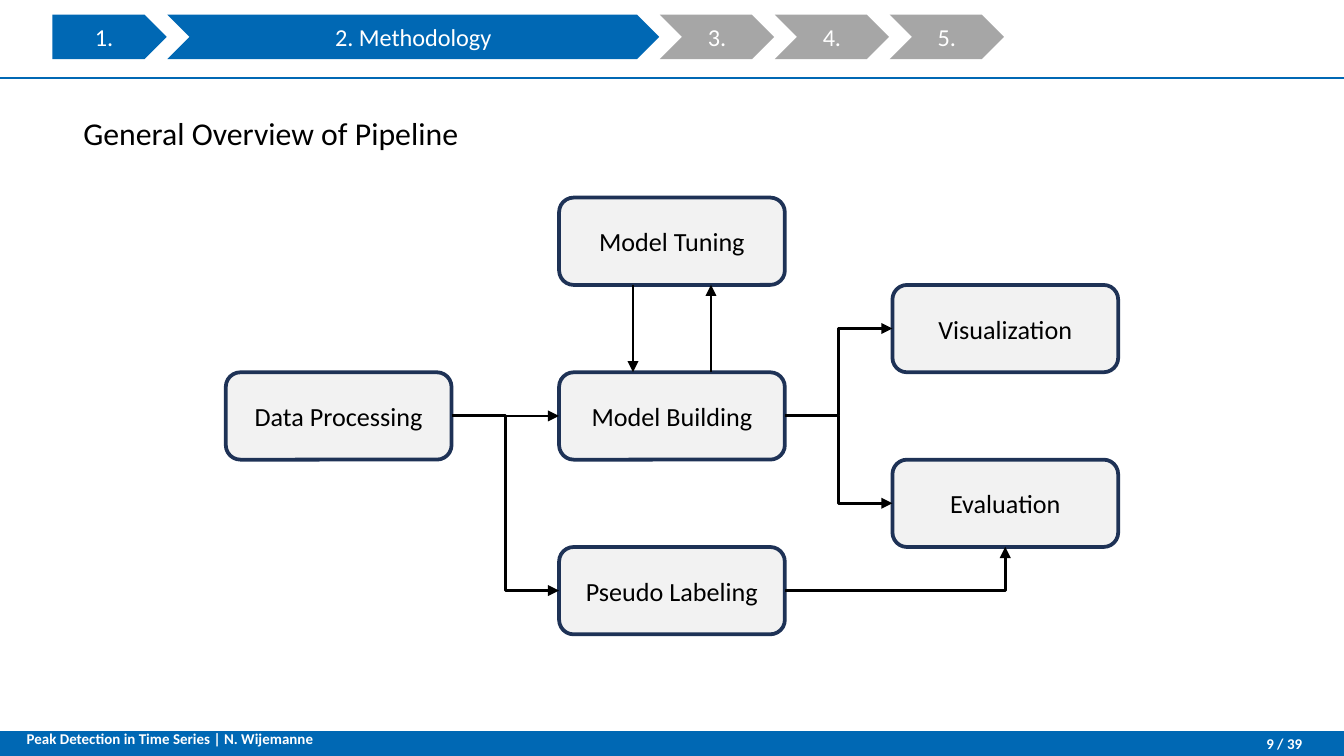
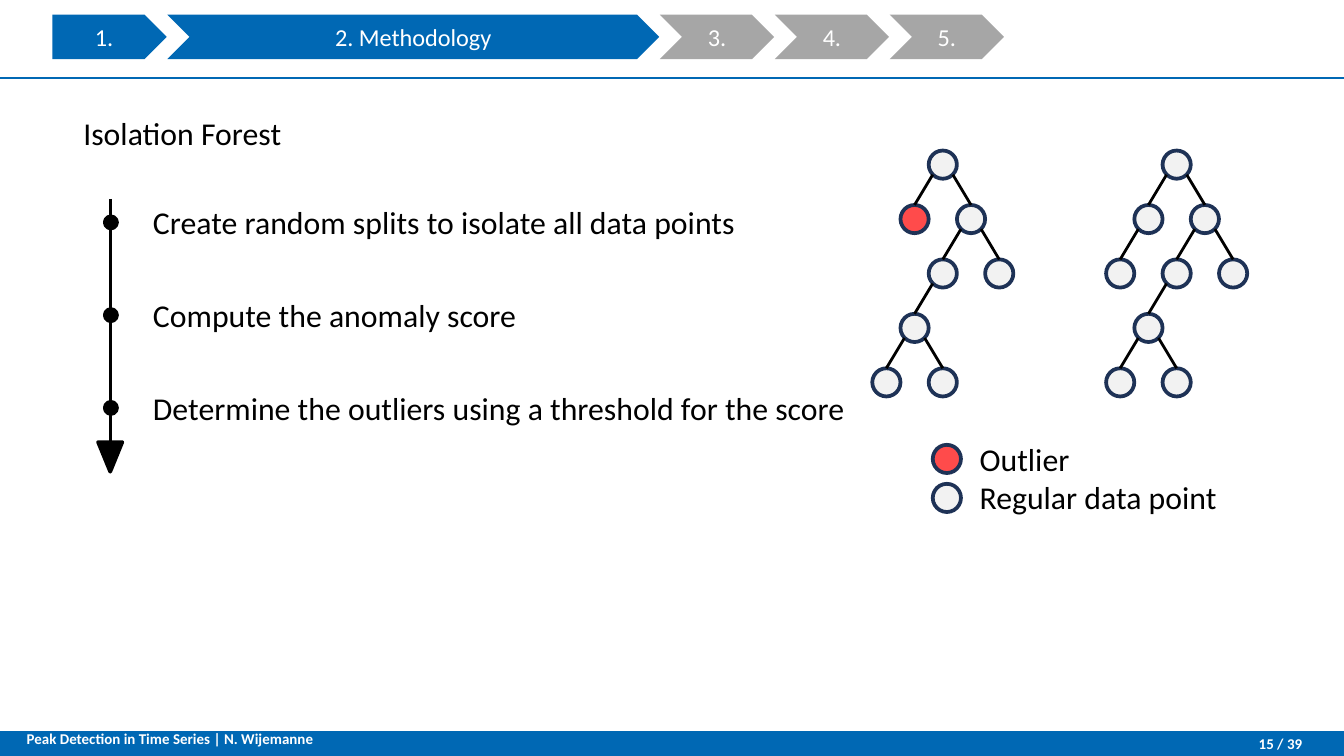
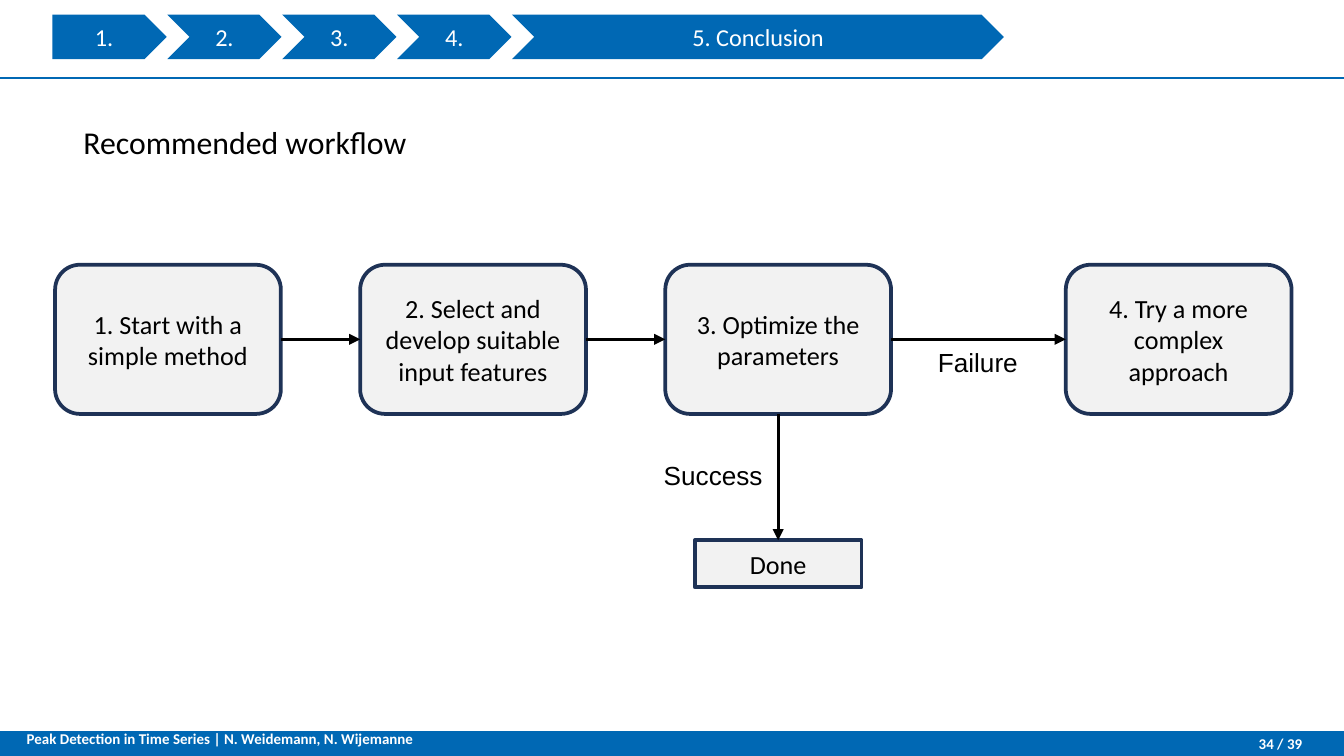
from lxml import etree
from pptx import Presentation
from pptx.dml.color import RGBColor
from pptx.enum.shapes import MSO_CONNECTOR, MSO_SHAPE
from pptx.enum.text import MSO_ANCHOR, MSO_AUTO_SIZE, PP_ALIGN
from pptx.oxml.ns import qn
from pptx.util import Inches, Pt

RECT, ROUND, OVAL = MSO_SHAPE.RECTANGLE, MSO_SHAPE.ROUNDED_RECTANGLE, MSO_SHAPE.OVAL
PENTAGON, CHEVRON, TRIANGLE = MSO_SHAPE.PENTAGON, MSO_SHAPE.CHEVRON, MSO_SHAPE.ISOSCELES_TRIANGLE
STRAIGHT, ELBOW = MSO_CONNECTOR.STRAIGHT, MSO_CONNECTOR.ELBOW
LEFT, CENTER, RIGHT = PP_ALIGN.LEFT, PP_ALIGN.CENTER, PP_ALIGN.RIGHT
TOP, MIDDLE = MSO_ANCHOR.TOP, MSO_ANCHOR.MIDDLE
SITE_TOP, SITE_LEFT, SITE_BOTTOM, SITE_RIGHT = range(4)

BLUE, GREY, NAVY, PALE = "0068B4", "A6A6A6", "1E3256", "F2F2F2"
RED, BLACK, WHITE = "FF4B4B", "000000", "FFFFFF"
FONT = "Calibri"


def add_box(s, kind, x, y, w, h, text="", size=14, color=BLACK, fill=None, line=None,
            align=CENTER, anchor=MIDDLE, bold=False, font=FONT):
    frame = Inches(x), Inches(y), Inches(w), Inches(h)
    if kind is None:
        sp = s.shapes.add_textbox(*frame)
    else:
        sp = s.shapes.add_shape(kind, *frame)
        sp.shadow.inherit = False
        sp.fill.solid()
        sp.fill.fore_color.rgb = RGBColor.from_string(fill)
        if line:
            sp.line.color.rgb = RGBColor.from_string(line)
            sp.line.width = Pt(2)
        else:
            sp.line.fill.background()
    if text:
        tf = sp.text_frame
        tf.word_wrap = True
        tf.vertical_anchor = anchor
        tf.text = text
        for p in tf.paragraphs:
            p.alignment = align
            p.font.name = font
            p.font.size = Pt(size)
            p.font.bold = bold
            p.font.color.rgb = RGBColor.from_string(color)
    return sp


def add_line(s, x1=0, y1=0, x2=0, y2=0, kind=STRAIGHT, color=BLACK, arrow=False):
    c = s.shapes.add_connector(kind, Inches(x1), Inches(y1), Inches(x2), Inches(y2))
    c.line.color.rgb = RGBColor.from_string(color)
    c.line.width = Pt(1.5)
    if arrow:
        etree.SubElement(c.line._get_or_add_ln(), qn("a:tailEnd"), type="triangle")
    etree.SubElement(c._element.spPr, qn("a:effectLst"))
    return c


prs = Presentation()
prs.slide_width, prs.slide_height = Inches(10), Inches(10 * 9 / 16)

pages = [
    ("General Overview of Pipeline", 0.95, 1, "Methodology", "N. Wijemanne", 9),
    ("Isolation Forest", 0.95, 1, "Methodology", "N. Wijemanne", 15),
    ("Recommended workflow", 1.15, 4, "Conclusion", "N. Weidemann, N. Wijemanne", 34),
]
slides = []
for heading, spacing, current, section, authors, number in pages:
    s = prs.slides.add_slide(prs.slide_layouts[5])
    slides.append(s)
    add_box(s, RECT, 0, 5.44, 10, 0.19, fill=BLUE)
    add_line(s, 10, 0.58, 0, 0.58, color=BLUE)

    title = s.shapes.title
    title.left, title.top = Inches(0.52), Inches(0.82)
    title.width, title.height = Inches(9.08), Inches(0.45)
    tf = title.text_frame
    tf.auto_size = MSO_AUTO_SIZE.NONE
    tf.vertical_anchor = TOP
    tf.text = heading
    p = tf.paragraphs[0]
    p.alignment = LEFT
    p.line_spacing = spacing
    p.font.name = FONT
    p.font.size = Pt(17)
    p.font.color.rgb = RGBColor.from_string(BLACK)

    for i in range(5):
        x = 0.39 + 3.42 * i / 4 + (2.81 if i > current else 0)
        add_box(s, CHEVRON if i else PENTAGON, x, 0.11, 3.66 if i == current else 0.85, 0.33,
                f"{i + 1}. {section}" if i == current else f"{i + 1}.", 13, WHITE,
                fill=BLUE if i <= current else GREY)

    footer = add_box(s, None, 0.1, 5.36, 4.34, 0.34, f"Peak Detection in Time Series | {authors}",
                     8, WHITE, align=LEFT, anchor=TOP, bold=True)
    footer.text_frame.margin_top = footer.text_frame.margin_bottom = Inches(0.1)
    page = add_box(s, None, 8.75, 5.44, 0.94, 0.19, f"{number} / 39", 8, WHITE,
                   align=RIGHT, bold=True)
    page.text_frame.margin_right = 0

pipeline, forest, workflow = slides

steps = {}
for name, col, row in [
    ("Data Processing", 0, 2), ("Model Building", 1, 2), ("Model Tuning", 1, 0),
    ("Visualization", 2, 1), ("Evaluation", 2, 3), ("Pseudo Labeling", 1, 4),
]:
    steps[name] = add_box(pipeline, ROUND, 1.68 + 2.48 * col, 1.47 + 0.65 * row, 1.68, 0.65,
                          name, fill=PALE, line=NAVY)
for start, end, kind, site in [
    ("Data Processing", "Model Building", STRAIGHT, SITE_LEFT),
    ("Model Building", "Visualization", ELBOW, SITE_LEFT),
    ("Model Building", "Evaluation", ELBOW, SITE_LEFT),
    ("Data Processing", "Pseudo Labeling", ELBOW, SITE_LEFT),
    ("Pseudo Labeling", "Evaluation", ELBOW, SITE_BOTTOM),
]:
    c = add_line(pipeline, kind=kind, arrow=True)
    c.begin_connect(steps[start], SITE_RIGHT)
    c.end_connect(steps[end], site)
    if site == SITE_BOTTOM:
        c._element.spPr.find(qn("a:prstGeom")).set("prst", "bentConnector2")
add_line(pipeline, 4.71, 2.12, 4.71, 2.77, arrow=True)
add_line(pipeline, 5.29, 2.77, 5.29, 2.12, arrow=True)

NODE = 0.21
parents = {
    (2, 0): None, (1, 1): (2, 0), (3, 1): (2, 0), (2, 2): (3, 1), (4, 2): (3, 1),
    (1, 3): (2, 2), (0, 4): (1, 3), (2, 4): (1, 3),
}
for left, tree, outlier in [(6.49, parents, (1, 1)), (8.23, {**parents, (0, 2): (1, 1)}, None)]:
    for node, parent in tree.items():
        x, y = left + NODE * node[0], 1.12 + 1.62 * node[1] / 4
        add_box(forest, OVAL, x, y, NODE, NODE, fill=RED if node == outlier else PALE, line=NAVY)
        if parent:
            side = 0.18 if node[0] > parent[0] else 0.03
            add_line(forest, left + NODE * parent[0] + side, 1.12 + 1.62 * parent[1] / 4 + 0.18,
                     x + NODE / 2, y)

for y, fill in [(3.31, RED), (3.6, PALE)]:
    add_box(forest, OVAL, 6.94, y, NODE, NODE, fill=fill, line=NAVY)
add_box(forest, None, 7.19, 3.22, 2.41, 0.67, "Outlier\nRegular data point", 17,
        align=LEFT, anchor=TOP)

add_line(forest, 0.82, 1.48, 0.82, 3.29)
arrowhead = add_box(forest, TRIANGLE, 0.73, 3.29, 0.18, 0.22, fill=BLACK, line=BLACK)
arrowhead.rotation = 180
for i, text in enumerate([
    "Create random splits to isolate all data points",
    "Compute the anomaly score",
    "Determine the outliers using a threshold for the score",
]):
    y = 1.46 + 0.69 * i
    add_box(forest, None, 1.04, y, 8.57, 0.39, text, 17, align=LEFT, anchor=TOP)
    add_box(forest, OVAL, 0.78, y + 0.15, 0.09, 0.09, fill=BLACK, line=BLACK)

stages = [
    add_box(workflow, ROUND, x, 1.97, 1.68, 1.11, text, fill=PALE, line=NAVY)
    for x, text in [
        (0.41, "1. Start with a simple method"),
        (2.68, "2. Select and develop suitable input features"),
        (4.95, "3. Optimize the parameters"),
        (7.93, "4. Try a more complex approach"),
    ]
]
done = add_box(workflow, RECT, 5.17, 4.02, 1.24, 0.35, "Done", fill=PALE, line=NAVY)
for start, end in zip(stages, stages[1:]):
    c = add_line(workflow, arrow=True)
    c.begin_connect(start, SITE_RIGHT)
    c.end_connect(end, SITE_LEFT)
c = add_line(workflow, arrow=True)
c.begin_connect(stages[2], SITE_BOTTOM)
c.end_connect(done, SITE_TOP)
for x, y, text in [(4.84, 3.37, "Success"), (6.88, 2.53, "Failure")]:
    add_box(workflow, None, x, y, 0.94, 0.34, text, align=LEFT, anchor=TOP, font="Arial")

prs.save("out.pptx")
